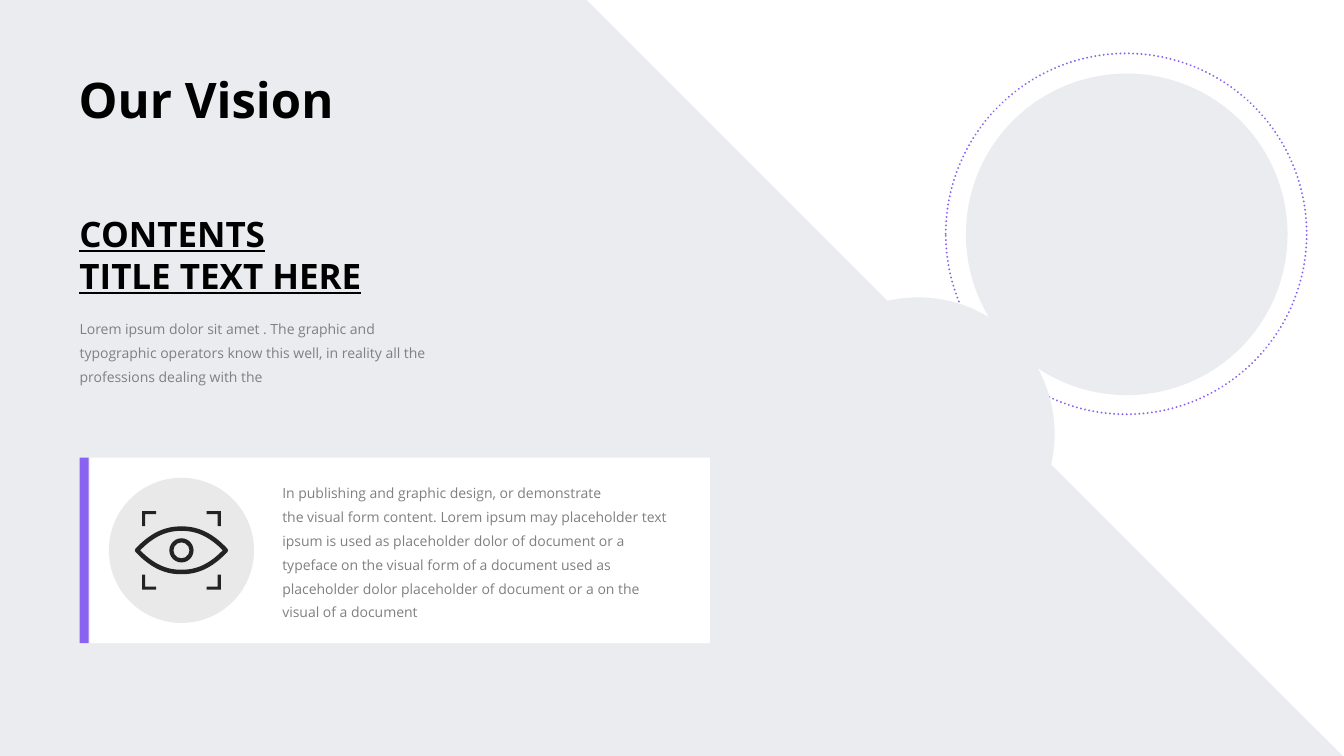
"""Build the "Our Vision" slide with an eye icon card and overlapping circles."""
from lxml import etree
from pptx import Presentation
from pptx import util as u
from pptx.dml.color import RGBColor
from pptx.enum import dml, shapes, text
from pptx.oxml import ns

COLORS = {
    "background": "EBECF0",
    "white": "FFFFFF",
    "accent": "8962EF",
    "disc": "E9E9E9",
    "icon": "232323",
    "heading": "000000",
    "body": "808080",
}
FONT = "Open Sans"
KIND = shapes.MSO_SHAPE


def paint(shape, fill=None, line=None, width=1.5):
    shape.shadow.inherit = False
    if fill:
        shape.fill.solid()
        shape.fill.fore_color.rgb = RGBColor.from_string(COLORS[fill])
    else:
        shape.fill.background()
    if line:
        shape.line.color.rgb = RGBColor.from_string(COLORS[line])
        shape.line.width = u.Pt(width)
    else:
        shape.line.fill.background()


def write(shape, box, lines, size, color, bold=False, underline=None, spacing=None, wrap=True):
    shape.left, shape.top, shape.width, shape.height = map(u.Inches, box)
    frame = shape.text_frame
    frame.text = "\n".join(lines)
    frame.word_wrap = wrap
    frame.auto_size = text.MSO_AUTO_SIZE.SHAPE_TO_FIT_TEXT
    frame.vertical_anchor = text.MSO_ANCHOR.TOP
    for paragraph in frame.paragraphs:
        properties = paragraph._p.get_or_add_pPr()
        properties.set("marL", "0")
        properties.set("indent", "0")
        etree.SubElement(properties, ns.qn("a:buNone"))
        paragraph.alignment = text.PP_ALIGN.LEFT
        paragraph.space_before = u.Pt(0)
        if spacing:
            paragraph.line_spacing = u.Pt(spacing)
        for run in paragraph.runs:
            run.font.name = FONT
            run.font.size = u.Pt(size)
            run.font.bold = bold
            run.font.underline = underline
            run.font.color.rgb = RGBColor.from_string(COLORS[color])


presentation = Presentation()
presentation.slide_width = u.Inches(13.33)
presentation.slide_height = u.Inches(7.5)
slide = presentation.slides.add_slide(presentation.slide_layouts[3])
slide.background.fill.solid()
slide.background.fill.fore_color.rgb = RGBColor.from_string(COLORS["background"])
title, intro, description = slide.placeholders

panels = [
    (KIND.RIGHT_TRIANGLE, (5.82, 0, 7.51, 7.51), "white", None),
    (KIND.OVAL, (9.38, 0.53, 3.58, 3.58), None, "accent"),
    (KIND.OVAL, (9.58, 0.73, 3.19, 3.19), "background", None),
    (KIND.OVAL, (7.75, 2.95, 2.71, 2.71), "background", None),
    (KIND.RECTANGLE, (0.89, 4.54, 6.15, 1.84), "white", None),
    (KIND.OVAL, (1.08, 4.74, 1.44, 1.44), "disc", None),
    (KIND.RECTANGLE, (0.79, 4.54, 0.09, 1.84), "accent", None),
]
for kind, box, fill, line in panels:
    shape = slide.shapes.add_shape(kind, *map(u.Inches, box))
    paint(shape, fill, line)
    if kind == KIND.RIGHT_TRIANGLE:
        shape.rotation = 180
    if line:
        shape.line.dash_style = dml.MSO_LINE.ROUND_DOT
        shape.line._get_or_add_ln().set("cap", "rnd")

eye_x, eye_y = 1.8, 5.46
steps = [step / 20 for step in range(-20, 21)]
upper_lid = [(0.44 * step, 0.215 * (abs(step) ** 2.2 - 1)) for step in steps]
lower_lid = [(-x, -y) for x, y in upper_lid[1:-1]]
bracket = [(0.39, 0.39), (0.25, 0.39), (0.25, 0.36), (0.36, 0.36), (0.36, 0.24), (0.39, 0.24)]
outlines = [(upper_lid + lower_lid, None, "icon")]
for side_x in (-1, 1):
    for side_y in (-1, 1):
        outlines.append(([(side_x * x, side_y * y) for x, y in bracket], "icon", None))
for points, fill, line in outlines:
    corners = [(u.Inches(eye_x + x), u.Inches(eye_y + y)) for x, y in points]
    builder = slide.shapes.build_freeform(*corners[0])
    builder.add_line_segments(corners[1:], close=True)
    paint(builder.convert_to_shape(), fill, line, 3.2)

pupil = slide.shapes.add_shape(KIND.DONUT, *map(u.Inches, (eye_x - 0.12, eye_y - 0.12, 0.24, 0.24)))
pupil.adjustments[0] = 0.17
paint(pupil, "icon")

write(title, (0.68, 0.64, 2.75, 0.69), ["Our Vision"], 35, "heading", bold=True, wrap=False)
heading = slide.shapes.add_textbox(0, 0, 0, 0)
write(heading, (0.69, 2.06, 3.03, 0.94), ["CONTENTS\vTITLE TEXT HERE"], 25, "heading",
      bold=True, underline=True, wrap=False)
write(intro, (0.69, 3.06, 4.11, 0.82), [
    "Lorem ipsum dolor sit amet . The graphic and",
    "typographic operators know this well, in reality all the",
    "professions dealing with the",
], 10, "body", spacing=17)
write(description, (2.7, 4.69, 4.11, 1.53), [
    "In publishing and graphic design, or demonstrate",
    "the visual form content. Lorem ipsum may placeholder text ipsum is used as placeholder"
    " dolor of document or a",
    "typeface on the visual form of a document used as placeholder dolor placeholder of"
    " document or a on the",
    "visual of a document",
], 10, "body", spacing=17)
slide.shapes._spTree.append(description.element)

presentation.save("out.pptx")
